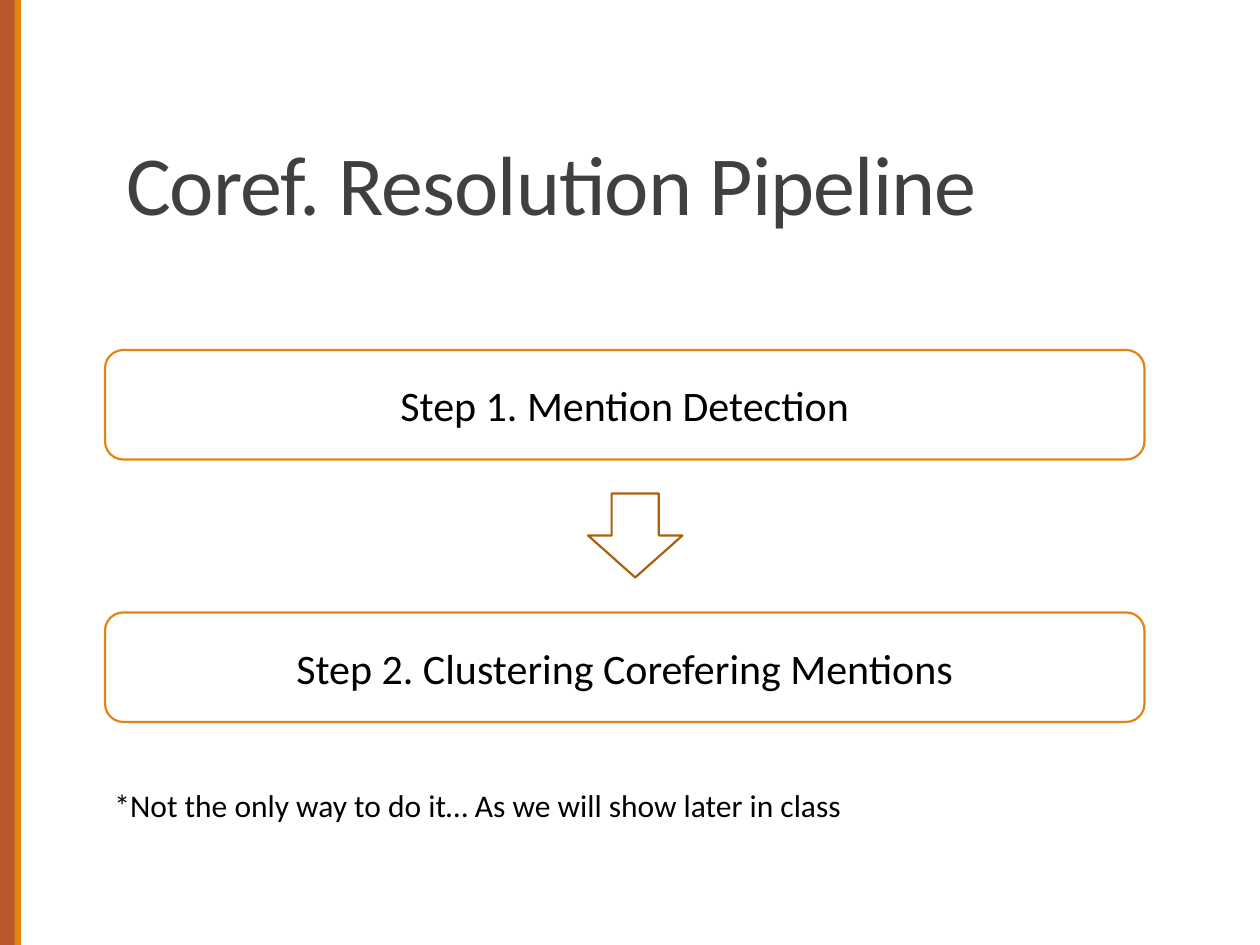
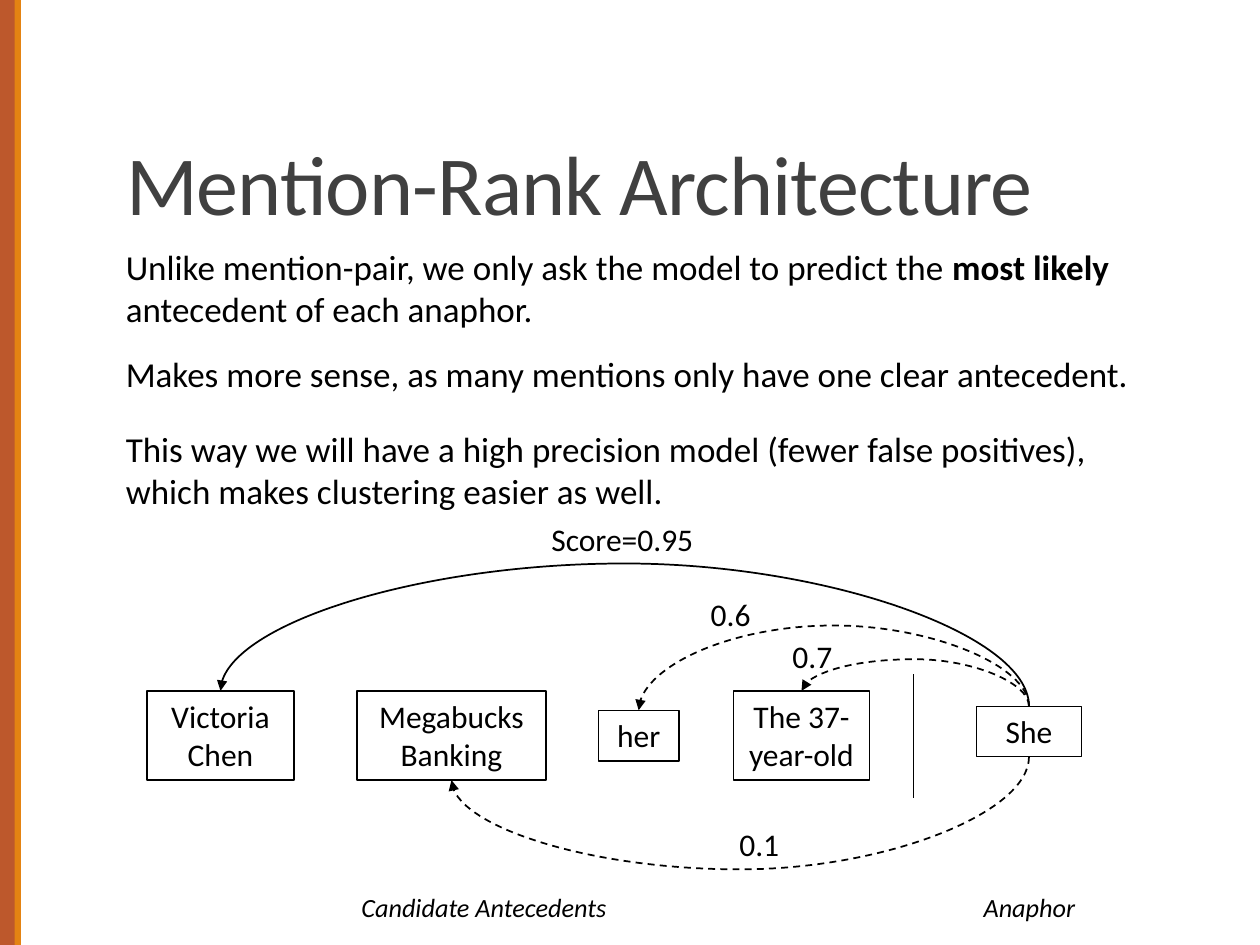
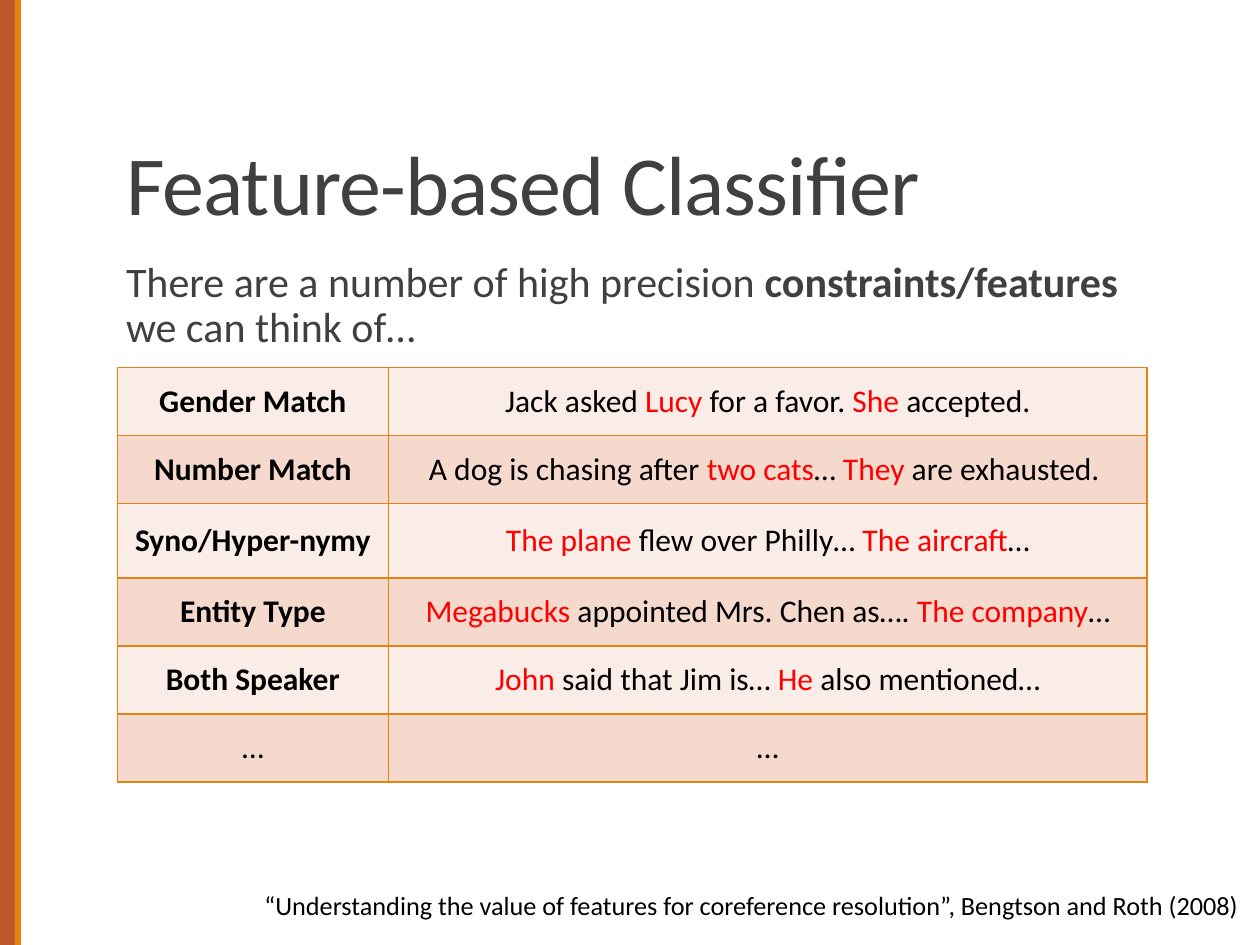
"""Build three slides on coreference resolution: pipeline, mention ranking and features."""
from dataclasses import dataclass

from lxml.etree import SubElement
from pptx import Presentation
from pptx.dml.color import RGBColor
from pptx.enum.dml import MSO_LINE
from pptx.enum.shapes import MSO_CONNECTOR, MSO_SHAPE
from pptx.enum.text import MSO_ANCHOR, MSO_AUTO_SIZE, PP_ALIGN
from pptx.oxml.ns import qn
from pptx.util import Pt


@dataclass(frozen=True)
class Theme:
    font: str = "Calibri"
    black: str = "000000"
    white: str = "FFFFFF"
    heading: str = "404040"
    orange: str = "E48312"
    rust: str = "BD582C"
    arrow: str = "A9610D"
    mention: str = "FF0000"
    row_fills: tuple = ("FAEDE7", "F5D9CC")
    title_size: int = 48
    lead_size: int = 24
    body_size: int = 20
    label_size: int = 18
    note_size: int = 15


THEME = Theme()
SLIDE_SIZE = (720, 540)
BANDS = [(0, 12, THEME.rust), (8.3, 3.7, THEME.orange)]
TITLE_BOX = (64.8, 22.3, 594, 114.5)

PIPELINE_TITLE = "Coref. Resolution Pipeline"
PIPELINE_STEPS = ["Step 1. Mention Detection", "Step 2. Clustering Corefering Mentions"]
PIPELINE_NOTE = "*Not the only way to do it… As we will show later in class"
STEP_BOX = (60, 200, 594, 62.6)
STEP_PITCH = 150
ARROW_BOX = (336, 282, 54, 48)
PIPELINE_NOTE_BOX = (58.3, 445.5, 541, 29)

RANK_TITLE = "Mention-Rank Architecture"
RANK_POINTS = [
    (136.8, 55.5, ["Unlike mention-pair, we only ask the model to predict the ",
                   ("most likely ", "bold"), "antecedent of each anaphor."]),
    (198, 31.5, ["Makes more sense, as many mentions only have one clear antecedent."]),
    (241, 55.5, ["This way we will have a high precision model (fewer false positives), "
                 "which makes clustering easier as well."]),
]
MENTIONS = {
    "Victoria Chen": (84, 394.8, 84, 51),
    "Megabucks Banking": (204, 394.8, 108, 51),
    "her": (342, 405.8, 46, 29),
    "The 37-year-old": (419, 394.8, 78, 51),
    "She": (558, 403.5, 60, 29),
}
ANAPHOR = "She"
SCORES = [
    ("Victoria Chen", 322, None, "Score=0.95", (308, 293.8, 108)),
    ("her", 357.3, MSO_LINE.DASH, "0.6", (399, 336.2, 48)),
    ("The 37-year-old", 376.7, MSO_LINE.DASH, "0.7", (445.7, 360.7, 48)),
    ("Megabucks Banking", 496.8, MSO_LINE.DASH, "0.1", (415.4, 468, 48)),
]
DIVIDER = (522, 385.2, 522, 455.8)
CAPTIONS = [("Candidate Antecedents", (199.4, 506, 168, 25)),
            ("Anaphor", (555, 505.5, 78, 25))]

FEATURE_TITLE = "Feature-based Classifier"
FEATURE_LEAD = ["There are a number of high precision ",
                ("constraints/features ", "bold"), "we can think of…"]
FEATURES = [
    ([("Gender Match", "bold")],
     ["Jack asked ", ("Lucy ", "mention"), "for a favor. ", ("She ", "mention"), "accepted."]),
    ([("Number Match", "bold")],
     ["A dog is chasing after ", ("two cats", "mention"), "… ", ("They ", "mention"),
      "are exhausted. "]),
    ([("Syno/Hyper-nymy", "bold")],
     [("The plane ", "mention"), "flew over Philly… ", ("The aircraft", "mention"), "…"]),
    ([("Entity Type", "bold")],
     [("Megabucks ", "mention"), "appointed Mrs. Chen as…. ", ("The company", "mention"), "…"]),
    ([("Both Speaker", "bold")],
     [("John ", "mention"), "said that Jim is… ", ("He ", "mention"), "also mentioned…"]),
    (["…"], ["…"]),
]
LEAD_BOX = (64.8, 145.4, 594, 317)
TABLE_ORIGIN = (67, 210)
COLUMN_WIDTHS = [155, 433.5]
ROW_HEIGHTS = [38.9, 38.9, 42.4, 38.9, 38.9, 38.9]
CITATION = "“Understanding the value of features for coreference resolution”, Bengtson and Roth (2008)"
CITATION_BOX = (144, 504.5, 576, 25)


def points(values):
    return [Pt(value) for value in values]


def color(value):
    return RGBColor.from_string(value)


def write(frame, runs, size, ink=THEME.black, align=PP_ALIGN.LEFT, italic=None):
    paragraph = frame.paragraphs[0]
    paragraph.alignment = align
    for item in runs:
        text, style = (item, None) if isinstance(item, str) else item
        run = paragraph.add_run()
        run.text = text
        run.font.name = THEME.font
        run.font.size = Pt(size)
        run.font.bold = style == "bold"
        run.font.italic = italic
        run.font.color.rgb = color(THEME.mention if style == "mention" else ink)
    return paragraph


def add_text(slide, box, runs, size, **style):
    frame = slide.shapes.add_textbox(*points(box)).text_frame
    frame.word_wrap = True
    write(frame, runs, size, **style)


def add_block(slide, kind, box, fill=None, line=None, width=1):
    shape = slide.shapes.add_shape(kind, *points(box))
    shape.shadow.inherit = False
    if fill:
        shape.fill.solid()
        shape.fill.fore_color.rgb = color(fill)
    else:
        shape.fill.background()
    if line:
        shape.line.color.rgb = color(line)
        shape.line.width = Pt(width)
    else:
        shape.line.fill.background()
    return shape


def add_boxed_text(slide, kind, box, text, size, anchor, **style):
    shape = add_block(slide, kind, box, **style)
    shape.text_frame.word_wrap = True
    shape.text_frame.vertical_anchor = anchor
    write(shape.text_frame, [text], size, align=PP_ALIGN.CENTER)
    return shape


def place(placeholder, box):
    placeholder.left, placeholder.top, placeholder.width, placeholder.height = points(box)
    placeholder.text_frame.auto_size = MSO_AUTO_SIZE.NONE
    placeholder.text_frame.word_wrap = True
    return placeholder.text_frame


def add_slide(presentation, title, layout=5):
    slide = presentation.slides.add_slide(presentation.slide_layouts[layout])
    for left, width, fill in BANDS:
        add_block(slide, MSO_SHAPE.RECTANGLE, (left, 0, width, SLIDE_SIZE[1]), fill)
    frame = place(slide.shapes.title, TITLE_BOX)
    frame.vertical_anchor = MSO_ANCHOR.BOTTOM
    paragraph = write(frame, [title], THEME.title_size, THEME.heading)
    paragraph.line_spacing = 0.85
    paragraph.runs[0].font._element.set("spc", "-50")
    return slide


def add_line(slide, kind, ends, dash=None):
    connector = slide.shapes.add_connector(kind, *points(ends))
    connector.line.color.rgb = color(THEME.black)
    connector.line.width = Pt(1)
    if dash:
        connector.line.dash_style = dash
    SubElement(connector.element.spPr, qn("a:effectLst"))
    return connector


def add_arc(slide, start, end, bend, dash):
    """Join two boxes by a curve that leaves vertically and turns at height bend."""
    upward = bend < start.top.pt
    site = 0 if upward else 2
    start_x, end_x = (box.left.pt + box.width.pt / 2 for box in (start, end))
    start_y, end_y = (box.top.pt + (0 if upward else box.height.pt) for box in (start, end))
    connector = add_line(slide, MSO_CONNECTOR.CURVE, (start_x, start_y, end_x, end_y), dash)
    connector.begin_connect(start, site)
    connector.end_connect(end, site)

    rise, run = abs(end_y - start_y), abs(end_x - start_x)
    connector.left = Pt((start_x + end_x - rise) / 2)
    connector.top = Pt((start_y + end_y - run) / 2)
    connector.width, connector.height = Pt(rise), Pt(run)
    properties = connector.element.spPr
    frame = properties.find(qn("a:xfrm"))
    frame.set("rot", str((270 if upward else 90) * 60000))
    frame.set("flipH", str(int(upward and end_y > start_y)))
    frame.set("flipV", str(int(upward)))

    geometry = properties.find(qn("a:prstGeom"))
    ratio = round((bend - start_y) / (end_y - start_y) * 100000)
    SubElement(geometry.get_or_add_avLst(), qn("a:gd"), name="adj1", fmla=f"val {ratio}")
    SubElement(properties.find(qn("a:ln")), qn("a:tailEnd"), type="triangle")


def build_pipeline(presentation):
    slide = add_slide(presentation, PIPELINE_TITLE)
    left, top, width, height = STEP_BOX
    for index, step in enumerate(PIPELINE_STEPS):
        box = (left, top + index * STEP_PITCH, width, height)
        add_boxed_text(slide, MSO_SHAPE.ROUNDED_RECTANGLE, box, step, THEME.lead_size,
                       MSO_ANCHOR.MIDDLE, fill=THEME.white, line=THEME.orange, width=1.25)
    add_block(slide, MSO_SHAPE.DOWN_ARROW, ARROW_BOX, line=THEME.arrow, width=1.25)
    add_text(slide, PIPELINE_NOTE_BOX, [PIPELINE_NOTE], THEME.label_size)


def build_ranking(presentation):
    slide = add_slide(presentation, RANK_TITLE)
    for top, height, runs in RANK_POINTS:
        add_text(slide, (64.8, top, 601, height), runs, THEME.body_size)
    boxes = {name: add_boxed_text(slide, MSO_SHAPE.RECTANGLE, box, name, THEME.label_size,
                                  MSO_ANCHOR.TOP, line=THEME.black, width=0.75)
             for name, box in MENTIONS.items()}
    add_line(slide, MSO_CONNECTOR.STRAIGHT, DIVIDER)
    for candidate, bend, dash, score, label_box in SCORES:
        add_arc(slide, boxes[ANAPHOR], boxes[candidate], bend, dash)
        add_text(slide, (*label_box, 29), [score], THEME.label_size)
    for caption, box in CAPTIONS:
        add_text(slide, box, [caption], THEME.note_size, italic=True)


def format_cell(cell, runs, fill):
    properties = cell._tc.get_or_add_tcPr()
    for side in ("lnL", "lnR", "lnT", "lnB"):
        border = SubElement(properties, qn(f"a:{side}"), w=str(Pt(1)))
        SubElement(SubElement(border, qn("a:solidFill")), qn("a:srgbClr"), val=THEME.orange)
    cell.fill.solid()
    cell.fill.fore_color.rgb = color(fill)
    cell.vertical_anchor = MSO_ANCHOR.MIDDLE
    write(cell.text_frame, runs, THEME.label_size, align=PP_ALIGN.CENTER)


def build_features(presentation):
    slide = add_slide(presentation, FEATURE_TITLE, layout=1)
    frame = place(slide.placeholders[1], LEAD_BOX)
    frame.margin_left = frame.margin_right = 0
    properties = frame.paragraphs[0]._p.get_or_add_pPr()
    properties.set("marL", str(Pt(7.2)))
    properties.set("indent", "0")
    SubElement(properties, qn("a:buNone"))
    paragraph = write(frame, FEATURE_LEAD, THEME.lead_size, THEME.heading)
    paragraph.line_spacing = 0.9
    paragraph.space_before = Pt(0)

    size = (sum(COLUMN_WIDTHS), sum(ROW_HEIGHTS))
    table = slide.shapes.add_table(len(FEATURES), len(COLUMN_WIDTHS),
                                   *points(TABLE_ORIGIN + size)).table
    table.first_row = table.horz_banding = False
    for column, width in zip(table.columns, COLUMN_WIDTHS):
        column.width = Pt(width)
    for index, (row, height, feature) in enumerate(zip(table.rows, ROW_HEIGHTS, FEATURES)):
        row.height = Pt(height)
        for cell, runs in zip(row.cells, feature):
            format_cell(cell, runs, THEME.row_fills[index % 2])
    add_text(slide, CITATION_BOX, [CITATION], THEME.note_size)


def main():
    presentation = Presentation()
    presentation.slide_width, presentation.slide_height = points(SLIDE_SIZE)
    build_pipeline(presentation)
    build_ranking(presentation)
    build_features(presentation)
    presentation.save("out.pptx")


if __name__ == "__main__":
    main()
